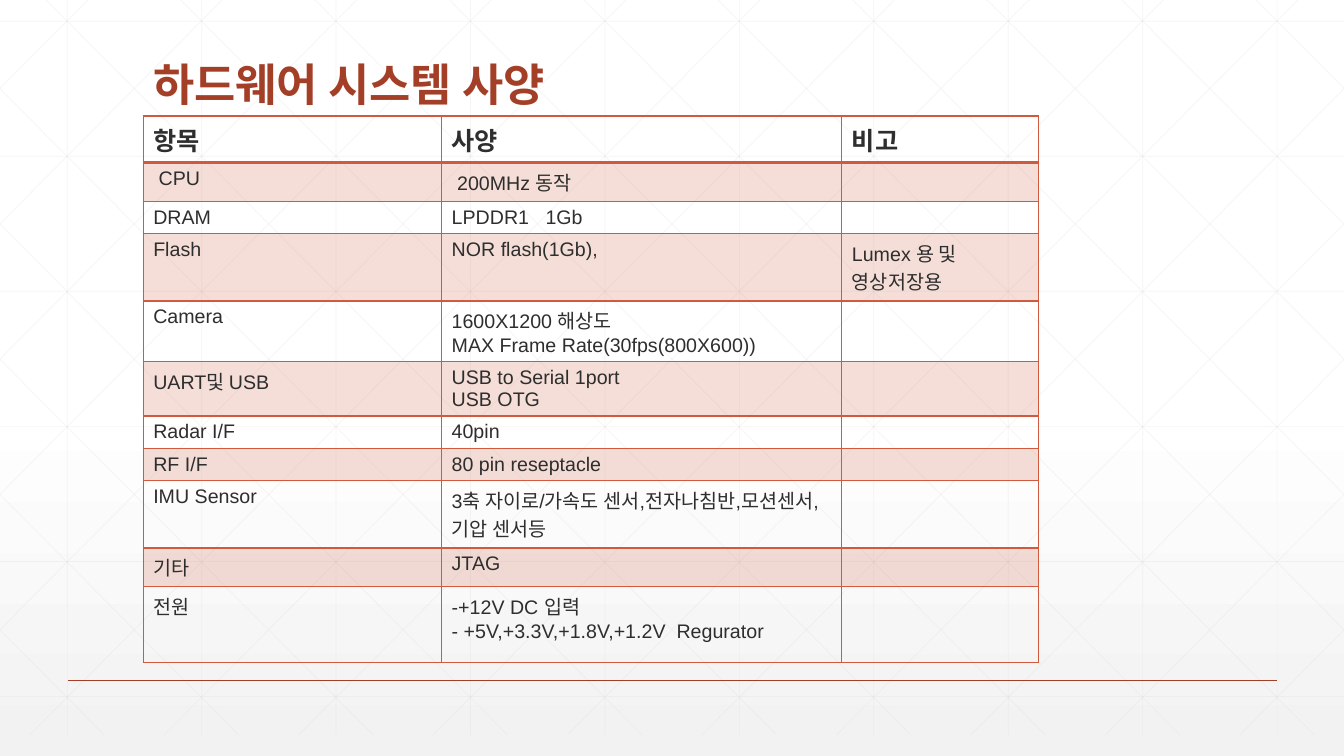
from dataclasses import dataclass

from lxml.etree import SubElement
from pptx import Presentation
from pptx.dml.color import RGBColor
from pptx.enum.shapes import MSO_CONNECTOR
from pptx.enum.text import MSO_ANCHOR, MSO_AUTO_SIZE, PP_ALIGN
from pptx.oxml import parse_xml
from pptx.oxml.ns import nsdecls, qn
from pptx.util import Inches, Pt

RUST = RGBColor(0xA4, 0x3F, 0x27)
CORAL = RGBColor(0xD1, 0x5A, 0x3E)
INK = RGBColor(0x2D, 0x2E, 0x2D)
GRID_GREY = RGBColor(0xD9, 0xD9, 0xD9)
LATIN, KOREAN = "Arial", "Noto Sans CJK KR"
WIDTH, HEIGHT = 13.33, 7.5
PITCH_X, PITCH_Y = 4 / 3, 1.34
GRID_TOP, GRID_BOTTOM = -0.21, 7.29
DIAGONAL_RUN = 7.45


@dataclass
class Spec:
    height: float
    item: str
    details: tuple[str, ...]
    note: str = ""


HEADER = Spec(0.46, "항목", ("사양",), "비고")
SPECS = [
    Spec(0.38, " CPU", (" 200MHz 동작",)),
    Spec(0.32, "DRAM", ("LPDDR1   1Gb",)),
    Spec(0.67, "Flash", ("NOR flash(1Gb),",), "Lumex 용 및 영상저장용"),
    Spec(0.6, "Camera", ("1600X1200 해상도", "MAX Frame Rate(30fps(800X600))")),
    Spec(0.54, "UART및 USB", ("USB to Serial 1port", "USB OTG")),
    Spec(0.32, "Radar I/F", ("40pin",)),
    Spec(0.32, "RF I/F", ("80 pin reseptacle",)),
    Spec(0.67, "IMU Sensor", ("3축 자이로/가속도 센서,전자나침반,모션센서,기압 센서등",)),
    Spec(0.38, "기타", ("JTAG",)),
    Spec(0.75, "전원", ("-+12V DC 입력", "- +5V,+3.3V,+1.8V,+1.2V  Regurator")),
]
COLUMN_WIDTHS = (2.96, 3.97, 1.95)


def set_alpha(solid_fill, percent: int) -> None:
    SubElement(solid_fill[0], qn("a:alpha"), val=str(percent * 1000))


def add_line(shapes, start, end, color: RGBColor, width: float, alpha: int = 100) -> None:
    line = shapes.add_connector(MSO_CONNECTOR.STRAIGHT, *map(Inches, (*start, *end)))
    line.line.color.rgb = color
    line.line.width = Pt(width)
    properties = line._element.spPr
    SubElement(properties, qn("a:effectLst"))
    if alpha < 100:
        set_alpha(properties.find(qn("a:ln")).find(qn("a:solidFill")), alpha)


def add_run(paragraph, text: str, font: str, size: int, color: RGBColor, bold: bool) -> None:
    run = paragraph.add_run()
    run.text = text
    run.font.name, run.font.size, run.font.bold = font, Pt(size), bold
    run.font.color.rgb = color
    SubElement(run.font._element, qn("a:ea"), typeface=KOREAN)


def set_borders(cell, bottom: float) -> None:
    properties = cell._tc.get_or_add_tcPr()
    widths = {"L": 1, "R": 1, "T": 1, "B": bottom}
    for index, (side, width) in enumerate(widths.items()):
        properties.insert(index, parse_xml(
            f'<a:ln{side} {nsdecls("a")} w="{Pt(width)}"><a:solidFill>'
            f'<a:srgbClr val="{CORAL}"/></a:solidFill></a:ln{side}>'))


def fill_cell(cell, lines: tuple[str, ...], header: bool, shaded: bool) -> None:
    size = 18 if header else 14
    for index, text in enumerate(lines):
        frame = cell.text_frame
        paragraph = frame.add_paragraph() if index else frame.paragraphs[0]
        if text:
            add_run(paragraph, text, LATIN, size, INK, header)
        else:
            end_mark = SubElement(paragraph._p, qn("a:endParaRPr"), sz=str(size * 100))
            SubElement(end_mark, qn("a:latin"), typeface=LATIN)
    if shaded:
        cell.fill.solid()
        cell.fill.fore_color.rgb = CORAL
        set_alpha(cell._tc.tcPr.find(qn("a:solidFill")), 20)
    else:
        cell.fill.background()


presentation = Presentation()
presentation.slide_width, presentation.slide_height = Inches(WIDTH), Inches(HEIGHT)
slide = presentation.slides.add_slide(presentation.slide_layouts[5])

# Background gradient
slide.background.fill.gradient()
gradient = slide.background._cSld.bg.bgPr.find(qn("a:gradFill"))
gradient.getparent().replace(gradient, parse_xml(
    f'<a:gradFill {nsdecls("a")} rotWithShape="1"><a:gsLst>'
    '<a:gs pos="0"><a:srgbClr val="FFFFFF"/></a:gs>'
    '<a:gs pos="53000"><a:srgbClr val="FFFFFF"/></a:gs>'
    '<a:gs pos="100000"><a:srgbClr val="F2F2F2"><a:alpha val="65000"/></a:srgbClr></a:gs>'
    '</a:gsLst><a:lin ang="5400000" scaled="0"/></a:gradFill>'))

# Background grid: verticals, horizontals, then mirrored diagonals
grid_lines = [((x, GRID_TOP), (x, GRID_BOTTOM))
              for x in (PITCH_X * (i + 0.5) for i in range(10))]
grid_lines += [((0, y), (WIDTH, y)) for y in (0.21 + PITCH_Y * i for i in range(6))]
slope = (GRID_BOTTOM - GRID_TOP) / DIAGONAL_RUN
for i in range(-5, 10):
    origin = 0.25 + PITCH_X * i
    left, right = max(origin, 0), min(origin + DIAGONAL_RUN, WIDTH)
    top, bottom = (GRID_TOP + (x - origin) * slope for x in (left, right))
    grid_lines.append(((left, top), (right, bottom)))
    grid_lines.append(((WIDTH - left, top), (WIDTH - right, bottom)))
grid = slide.shapes.add_group_shape()
for start, end in grid_lines:
    add_line(grid.shapes, start, end, GRID_GREY, 0.5, 25)

# Footer rule
add_line(slide.shapes, (0.67, 6.75), (12.67, 6.75), RUST, 1)

# Title, brought in front of the grid
title = slide.shapes.title
slide.shapes._spTree.append(title._element)
title.left, title.top, title.width, title.height = map(Inches, (1.42, 0.55, 10.5, 0.6))
title.text_frame.auto_size = MSO_AUTO_SIZE.NONE
title.text_frame.vertical_anchor = MSO_ANCHOR.BOTTOM
heading = title.text_frame.paragraphs[0]
heading.alignment, heading.line_spacing = PP_ALIGN.LEFT, 0.9
add_run(heading, "하드웨어 시스템 사양", KOREAN, 32, RUST, True)

# Specification table
rows = [HEADER, *SPECS]
table = slide.shapes.add_table(
    len(rows), len(COLUMN_WIDTHS), Inches(1.42), Inches(1.15),
    Inches(sum(COLUMN_WIDTHS)), Inches(sum(row.height for row in rows))).table
table.first_row = table.horz_banding = False
for column, width in zip(table.columns, COLUMN_WIDTHS):
    column.width = Inches(width)
for number, spec in enumerate(rows):
    table.rows[number].height = Inches(spec.height)
    for column, lines in enumerate(((spec.item,), spec.details, (spec.note,))):
        cell = table.cell(number, column)
        fill_cell(cell, lines, header=number == 0, shaded=number % 2 == 1)
        set_borders(cell, bottom=2 if number == 0 else 1)

presentation.save("out.pptx")
